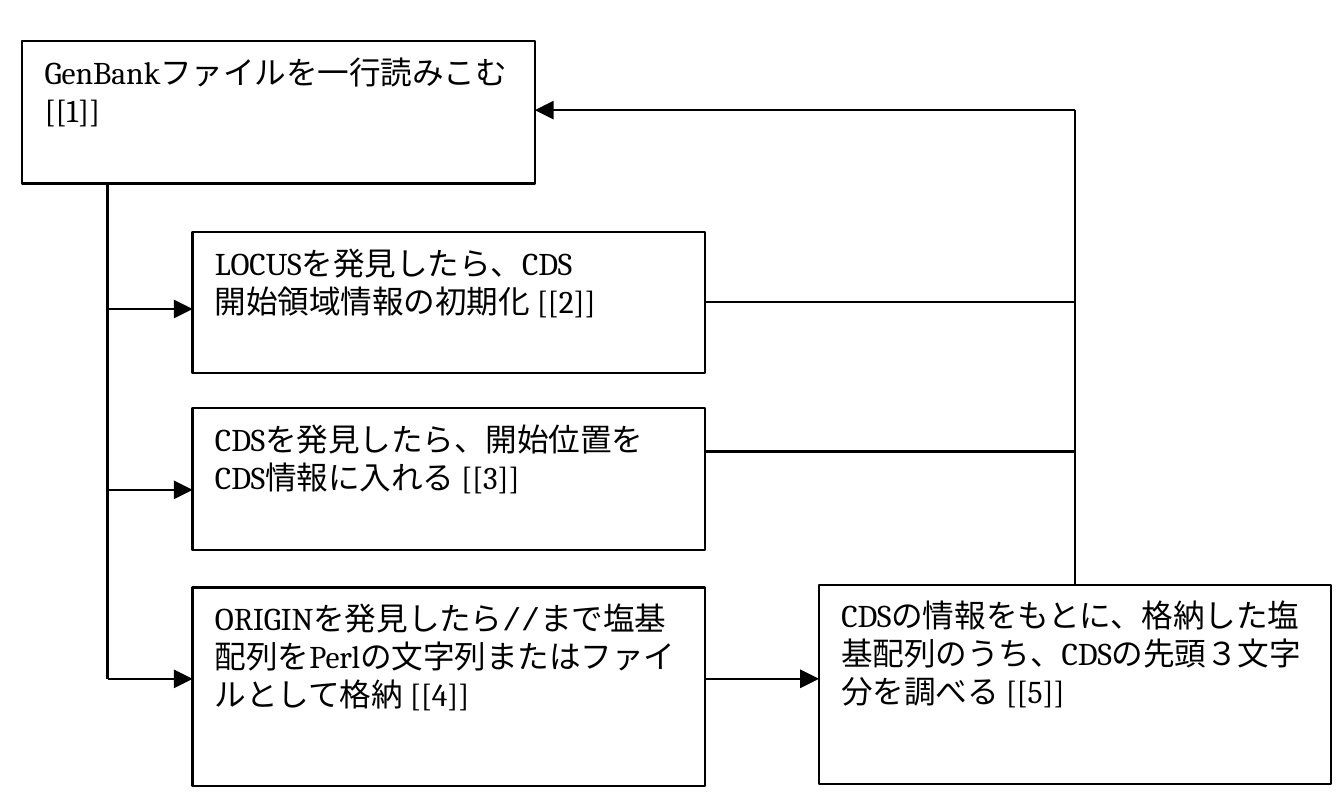
from dataclasses import dataclass

from lxml.etree import SubElement
from pptx import Presentation
from pptx.dml.color import RGBColor
from pptx.enum.lang import MSO_LANGUAGE_ID as Language
from pptx.enum.shapes import MSO_CONNECTOR as Connector, MSO_SHAPE as Preset
from pptx.enum.text import MSO_ANCHOR as Anchor, PP_ALIGN as Align
from pptx.oxml.ns import qn
from pptx.slide import Slide
from pptx.util import Emu, Pt

EMU_PER_PX = 3600
SLIDE_WIDTH = 1500
SLIDE_HEIGHT = 900
BLACK = RGBColor(0, 0, 0)
WHITE = RGBColor(255, 255, 255)
LINE_WIDTH = Pt(0.75)
FONT_SIZE = Pt(10)
BODY_FONT = "Cambria"
CODE_FONT = "Courier New"

BOX_WIDTH = 572
SIDE_MARGIN = 25
TOP_MARGIN = 13
BRANCH_LEFT = 215
BRANCH_RIGHT = BRANCH_LEFT + BOX_WIDTH
READ_LEFT = 25
CHECK_LEFT = 914
TRUNK_X = 120
RETURN_X = 1200
RETURN_Y = 123
ORIGIN_Y = 758


@dataclass(frozen=True)
class TextRun:
    text: str
    font: str = BODY_FONT


@dataclass(frozen=True)
class StepBox:
    left: int
    top: int
    height: int
    paragraphs: tuple[tuple[TextRun, ...], ...]


@dataclass(frozen=True)
class FlowLine:
    start: tuple[int, int]
    end: tuple[int, int]
    arrow: bool = False


BRANCH_BOXES = (
    StepBox(BRANCH_LEFT, 259, 158, (
        (TextRun("LOCUSを発見したら、CDS"),),
        (TextRun("開始領域情報の初期化 [[2]]"),),
    )),
    StepBox(BRANCH_LEFT, 456, 158, (
        (TextRun("CDSを発見したら、開始位置をCDS情報に入れる [[3]]"),),
    )),
    StepBox(BRANCH_LEFT, 656, 222, (
        (
            TextRun("ORIGINを発見したら"),
            TextRun("//", CODE_FONT),
            TextRun("まで塩基配列をPerlの文字列またはファイルとして格納 [[4]]"),
        ),
    )),
)

END_BOXES = (
    StepBox(CHECK_LEFT, 653, 223, (
        (TextRun("CDSの情報をもとに、格納した塩基配列のうち、CDSの先頭３文字分を調べる [[5]]"),),
    )),
    StepBox(READ_LEFT, 46, 159, (
        (TextRun("GenBankファイルを一行読みこむ [[1]]"),),
    )),
)

FLOW_LINES = (
    FlowLine((TRUNK_X, 198), (TRUNK_X, ORIGIN_Y)),
    *(FlowLine((TRUNK_X, y), (BRANCH_LEFT, y), True) for y in (ORIGIN_Y, 345, 547)),
    FlowLine((BRANCH_RIGHT, ORIGIN_Y), (CHECK_LEFT, ORIGIN_Y), True),
    FlowLine((RETURN_X, 658), (RETURN_X, RETURN_Y)),
    FlowLine((RETURN_X, RETURN_Y), (READ_LEFT + BOX_WIDTH, RETURN_Y), True),
    *(FlowLine((BRANCH_RIGHT, y), (RETURN_X, y)) for y in (337, 504)),
)


def px(length: int) -> Emu:
    return Emu(length * EMU_PER_PX)


def draw_box(slide: Slide, box: StepBox) -> None:
    shape = slide.shapes.add_shape(
        Preset.RECTANGLE, px(box.left), px(box.top), px(BOX_WIDTH), px(box.height)
    )
    shape.shadow.inherit = False
    shape.fill.solid()
    shape.fill.fore_color.rgb = WHITE
    shape.line.color.rgb = BLACK
    shape.line.width = LINE_WIDTH

    frame = shape.text_frame
    frame.word_wrap = True
    frame.vertical_anchor = Anchor.TOP
    frame.margin_left = frame.margin_right = px(SIDE_MARGIN)
    frame.margin_top = frame.margin_bottom = px(TOP_MARGIN)
    for index, text_runs in enumerate(box.paragraphs):
        paragraph = frame.add_paragraph() if index else frame.paragraphs[0]
        paragraph.alignment = Align.LEFT
        for text_run in text_runs:
            run = paragraph.add_run()
            run.text = text_run.text
            run.font.name = text_run.font
            run.font.size = FONT_SIZE
            run.font.color.rgb = BLACK
            run.font.language_id = Language.JAPANESE


def draw_line(slide: Slide, flow_line: FlowLine) -> None:
    connector = slide.shapes.add_connector(
        Connector.STRAIGHT,
        *(px(value) for value in flow_line.start + flow_line.end),
    )
    connector.line.color.rgb = BLACK
    connector.line.width = LINE_WIDTH
    properties = connector._element.spPr
    if flow_line.arrow:
        SubElement(properties.find(qn("a:ln")), qn("a:tailEnd"), type="triangle")
    SubElement(properties, qn("a:effectLst"))


def main() -> None:
    presentation = Presentation()
    presentation.slide_width = px(SLIDE_WIDTH)
    presentation.slide_height = px(SLIDE_HEIGHT)
    slide = presentation.slides.add_slide(presentation.slide_layouts[6])
    for box in BRANCH_BOXES:
        draw_box(slide, box)
    for flow_line in FLOW_LINES:
        draw_line(slide, flow_line)
    for box in END_BOXES:
        draw_box(slide, box)
    presentation.save("out.pptx")


if __name__ == "__main__":
    main()
